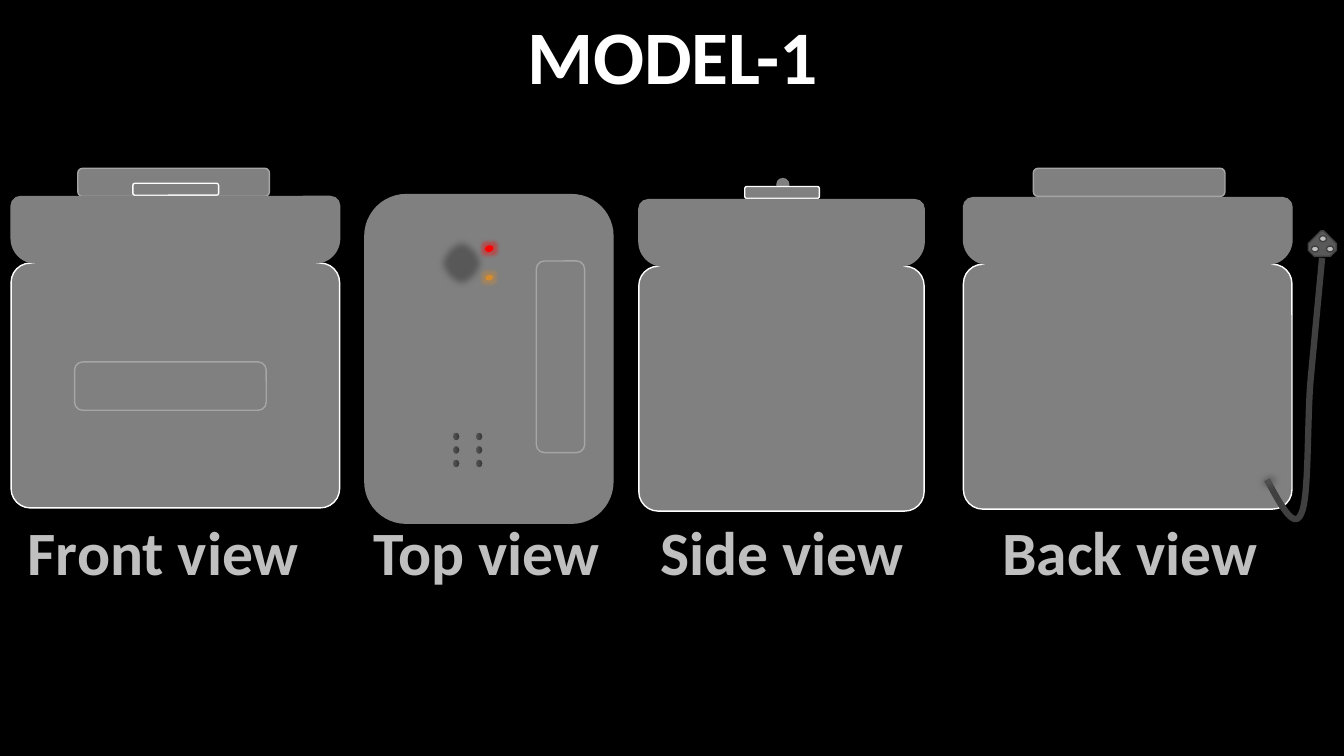
from dataclasses import dataclass
from typing import Optional

from lxml.etree import SubElement
from pptx import Presentation
from pptx.dml.color import RGBColor
from pptx.enum.shapes import MSO_SHAPE
from pptx.enum.text import MSO_ANCHOR, MSO_AUTO_SIZE, PP_ALIGN
from pptx.oxml.ns import qn
from pptx.util import Cm, Pt

BLACK = RGBColor(0x00, 0x00, 0x00)
WHITE = RGBColor(0xFF, 0xFF, 0xFF)
GREY = RGBColor(0x80, 0x80, 0x80)
PANEL_EDGE = RGBColor(0xA6, 0xA6, 0xA6)
SILVER = RGBColor(0xBF, 0xBF, 0xBF)
DARK = RGBColor(0x59, 0x59, 0x59)
CABLE = RGBColor(0x40, 0x40, 0x40)
HOLE = RGBColor(0x35, 0x35, 0x35)
RED = RGBColor(0xFF, 0x00, 0x00)
AMBER = RGBColor(0xD5, 0x8C, 0x2E)

PANEL = MSO_SHAPE.FLOWCHART_ALTERNATE_PROCESS
ROUND = MSO_SHAPE.ROUNDED_RECTANGLE
OVAL = MSO_SHAPE.OVAL
LID_HEIGHT, BODY_HEIGHT = 1.68, 6.17
CURVE_STEPS = 16


@dataclass
class Part:
    """A preset shape; lengths in centimetres."""
    kind: MSO_SHAPE
    left: float
    top: float
    width: float
    height: float
    fill: RGBColor = GREY
    line: RGBColor = GREY
    rotation: float = 0
    adjustments: tuple[float, ...] = ()
    gradient_end: Optional[RGBColor] = None
    soft_edge: float = 0
    glow: float = 0
    line_width: float = 1


@dataclass
class Caption:
    text: str
    left: float
    width: float
    wrap: bool = False


def add_part(slide, part: Part) -> None:
    shape = slide.shapes.add_shape(part.kind, Cm(part.left), Cm(part.top),
                                   Cm(part.width), Cm(part.height))
    shape.rotation = part.rotation
    shape.shadow.inherit = False
    for index, value in enumerate(part.adjustments):
        shape.adjustments[index] = value
    if part.gradient_end is None:
        shape.fill.solid()
        shape.fill.fore_color.rgb = part.fill
    else:
        shape.fill.gradient()
        shape.fill.gradient_angle = 270
        for stop, color in zip(shape.fill.gradient_stops, (part.fill, part.gradient_end)):
            stop.color.rgb = color
    shape.line.color.rgb = part.line
    shape.line.width = Pt(part.line_width)
    effects = shape._element.spPr.find(qn("a:effectLst"))
    if part.glow:
        glow = SubElement(effects, qn("a:glow"), rad=str(Pt(part.glow)))
        color = SubElement(glow, qn("a:srgbClr"), val=str(part.fill))
        SubElement(color, qn("a:alpha"), val="40000")
    if part.soft_edge:
        SubElement(effects, qn("a:softEdge"), rad=str(Pt(part.soft_edge)))


def add_pot(slide, left: float, top: float, width: float) -> None:
    """Draw a body with its lid on top."""
    add_part(slide, Part(ROUND, left, top + LID_HEIGHT, width, BODY_HEIGHT,
                         line=WHITE, adjustments=(0.079,)))
    add_part(slide, Part(MSO_SHAPE.ROUND_2_SAME_RECTANGLE, left, top, width, LID_HEIGHT,
                         rotation=180, adjustments=(0.371, 0.14)))


def add_panel(slide, left: float, top: float, height: float, rotation: float = 0) -> None:
    add_part(slide, Part(PANEL, left, top, 4.83, height, line=PANEL_EDGE, rotation=rotation))


def style_text(shape, text: str, size: float, color: RGBColor, wrap: bool = False) -> None:
    frame = shape.text_frame
    frame.text = text
    frame.word_wrap = wrap
    frame.auto_size = MSO_AUTO_SIZE.SHAPE_TO_FIT_TEXT
    frame.vertical_anchor = MSO_ANCHOR.TOP
    paragraph = frame.paragraphs[0]
    paragraph.alignment = PP_ALIGN.CENTER
    paragraph.font.name = "Calibri"
    paragraph.font.size = Pt(size)
    paragraph.font.bold = True
    paragraph.font.color.rgb = color


def add_caption(slide, caption: Caption) -> None:
    box = slide.shapes.add_textbox(Cm(caption.left), Cm(12.83), Cm(caption.width), Cm(2.13))
    style_text(box, caption.text, 44, SILVER, caption.wrap)


def curve_point(points: list[tuple[float, float]], t: float) -> tuple[int, int]:
    """Point at t on a cubic curve."""
    weights = ((1 - t) ** 3, 3 * t * (1 - t) ** 2, 3 * t ** 2 * (1 - t), t ** 3)
    x, y = (sum(w * p[axis] for w, p in zip(weights, points)) for axis in (0, 1))
    return Cm(x), Cm(y)


def add_cable(slide, controls: list[tuple[float, float]]) -> None:
    points = [curve_point(controls[start:start + 4], step / CURVE_STEPS)
              for start in range(0, len(controls) - 1, 3)
              for step in range(1, CURVE_STEPS + 1)]
    builder = slide.shapes.build_freeform(Cm(controls[0][0]), Cm(controls[0][1]))
    builder.add_line_segments(points, close=False)
    cable = builder.convert_to_shape()
    cable.shadow.inherit = False
    cable.fill.background()
    cable.line.color.rgb = CABLE
    cable.line.width = Pt(4.5)


def main() -> None:
    presentation = Presentation()
    presentation.slide_width, presentation.slide_height = Cm(33.87), Cm(19.05)
    slide = presentation.slides.add_slide(presentation.slide_layouts[5])
    slide.background.fill.solid()
    slide.background.fill.fore_color.rgb = BLACK

    # Title
    title = slide.shapes.title
    title.left, title.top, title.width, title.height = Cm(12.93), Cm(0.1), Cm(8.03), Cm(2.57)
    style_text(title, "MODEL-1", 54, WHITE)

    # Front view
    add_panel(slide, 1.96, 4.24, 0.71, 180)
    add_part(slide, Part(OVAL, 4.27, 4.39, 0.36, 0.3))
    add_part(slide, Part(ROUND, 3.35, 4.62, 2.16, 0.3, line=WHITE))
    add_pot(slide, 0.28, 4.95, 8.28)
    add_panel(slide, 1.88, 9.12, 1.22)

    # Side view
    add_part(slide, Part(OVAL, 19.58, 4.5, 0.3, 0.3))
    add_part(slide, Part(ROUND, 18.77, 4.7, 1.88, 0.3, line=WHITE))
    add_pot(slide, 16.1, 5.03, 7.19)

    # Top view: lid, fittings, dial, lamps, steam holes and window
    top_parts = [
        Part(PANEL, 8.18, 5.92, 8.28, 6.25, rotation=90),
        Part(ROUND, 9.65, 8.1, 2.16, 1.88, rotation=270),
        Part(OVAL, 10.59, 8.89, 0.3, 0.3, rotation=180),
        Part(ROUND, 10.87, 10.46, 1.68, 1.91, rotation=90),
        Part(ROUND, 10.9, 5.64, 1.88, 2.16, rotation=90),
        Part(OVAL, 10.95, 5.99, 1.35, 1.27, fill=DARK, rotation=90, soft_edge=5),
        Part(OVAL, 12.24, 6.2, 0.18, 0.13, RED, RED, 346.6, glow=5),
        Part(OVAL, 12.24, 6.93, 0.18, 0.13, AMBER, AMBER, 346.6, glow=5, line_width=0.25),
    ]
    top_parts += [Part(OVAL, left, 10.9 + 0.34 * row, 0.23, 0.2, fill=HOLE, rotation=90,
                       gradient_end=DARK)
                  for row in range(3) for left in (11.38, 11.96)]
    for part in top_parts:
        add_part(slide, part)
    add_panel(slide, 11.71, 8.38, 1.22, 270)

    # Back view with cable and plug
    add_pot(slide, 24.28, 4.98, 8.28)
    add_panel(slide, 26.04, 4.24, 0.71, 180)
    add_cable(slide, [(31.93, 12.09), (32.28, 12.73), (32.61, 13.36), (32.79, 12.95),
                      (32.99, 12.57), (32.94, 10.77), (33.02, 9.68),
                      (33.12, 8.61), (33.32, 6.5), (33.32, 6.5)])
    add_part(slide, Part(OVAL, 31.67, 11.73, 0.61, 0.79, fill=DARK, rotation=78.1, soft_edge=5))
    add_part(slide, Part(MSO_SHAPE.SNIP_2_SAME_RECTANGLE, 32.97, 5.82, 0.71, 0.64,
                         DARK, CABLE, adjustments=(0.5, 0.24)))
    for left, top in ((33.05, 6.2), (33.25, 5.94), (33.43, 6.2)):
        add_part(slide, Part(OVAL, left, top, 0.18, 0.15, SILVER, CABLE))

    # Captions
    for caption in (Caption("Front view", 0.41, 7.42), Caption("Top view", 9.12, 6.27),
                    Caption("Side view", 15.65, 8.1, wrap=True),
                    Caption("Back view", 24.97, 7.01)):
        add_caption(slide, caption)

    presentation.save("out.pptx")


if __name__ == "__main__":
    main()
